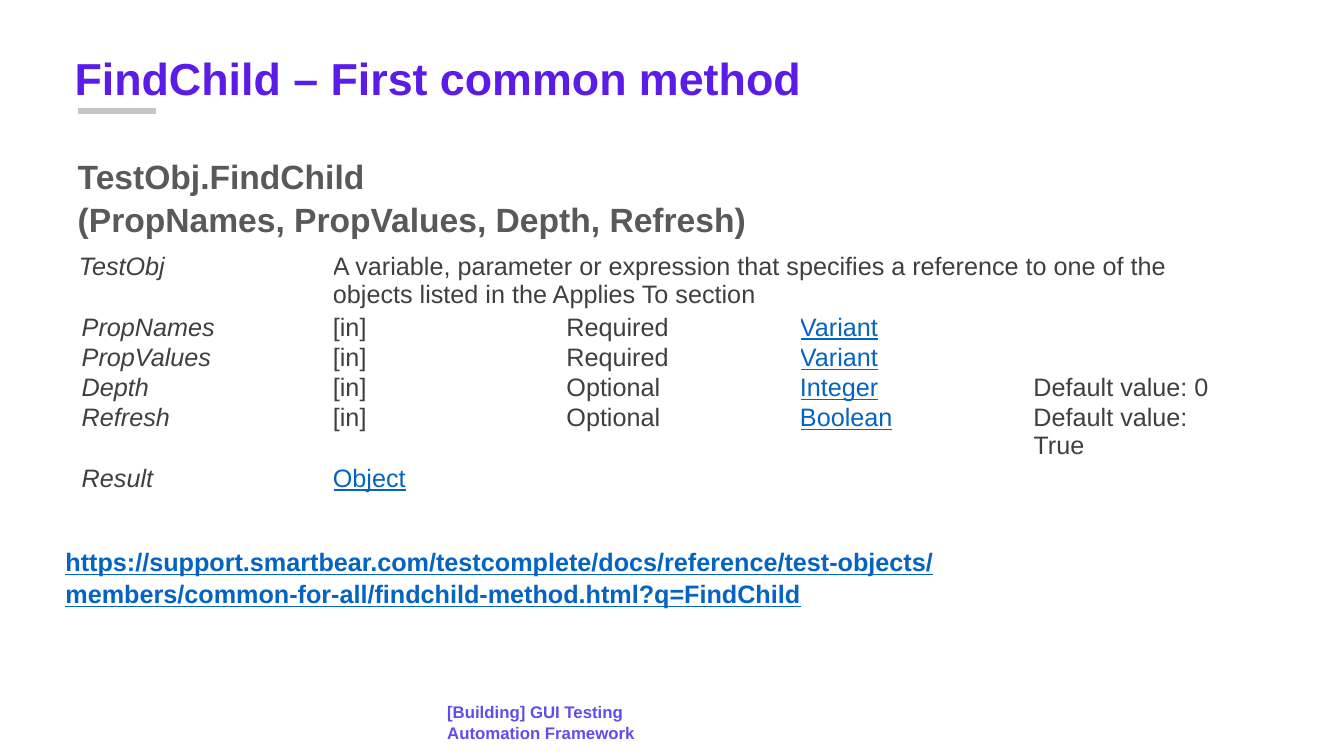
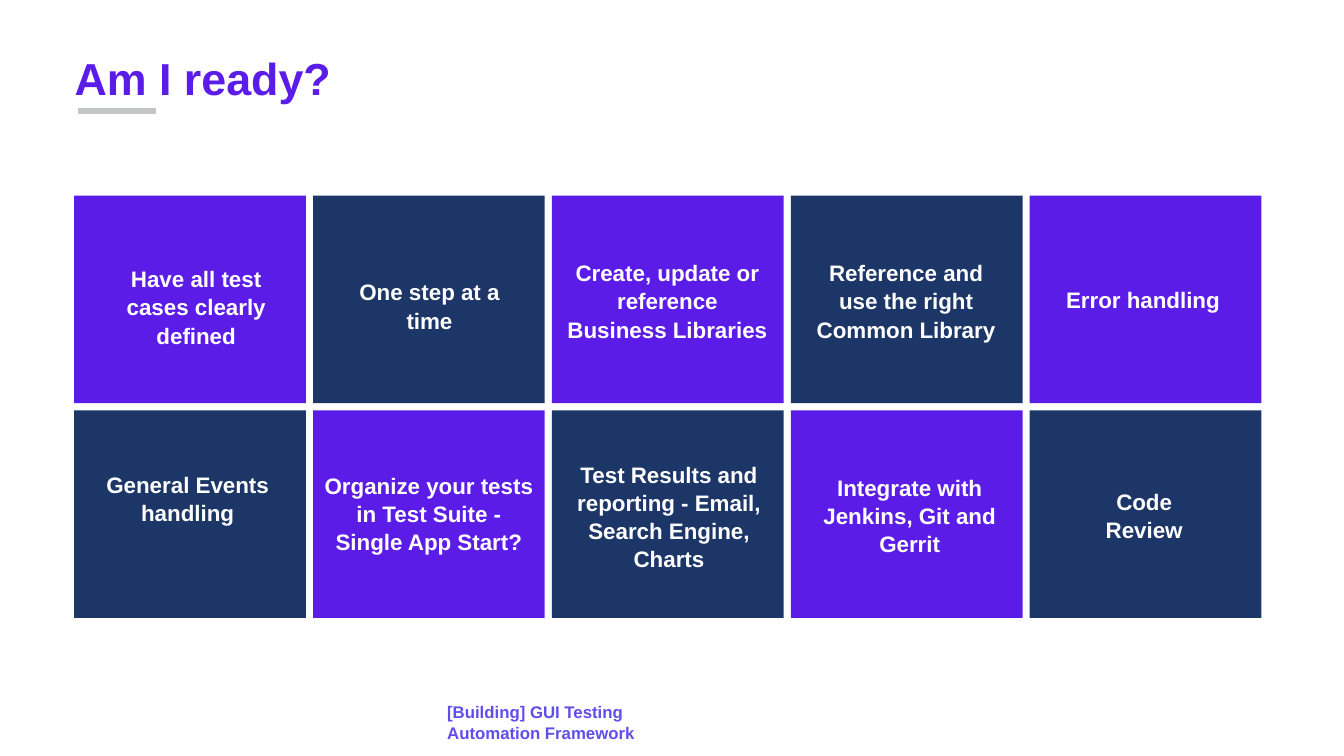
from lxml.etree import SubElement
from pptx import Presentation
from pptx.dml.color import RGBColor
from pptx.enum.shapes import MSO_CONNECTOR, MSO_SHAPE
from pptx.enum.text import MSO_ANCHOR, PP_ALIGN
from pptx.oxml.ns import qn
from pptx.util import Cm, Pt

FONT = "Arial"
PURPLE, NAVY, WHITE = "5C1CE8", "1C3668", "FFFFFF"
RULE, FOOT, HEAD = "C3C5C8", "614EEA", "595959"
BODY, LINK = "3F3F3F", "0563C1"

URL = ("https://support.smartbear.com/testcomplete/docs/reference/"
       "test-objects/members/common-for-all/findchild-method.html"
       "?q=FindChild")
ROWS = [
    ["TestObj", "A variable, parameter or expression that specifies a "
     "reference to one of the objects listed in the Applies To section"],
    ["PropNames", "[in]", "Required", "Variant"],
    ["PropValues", "[in]", "Required", "Variant"],
    ["Depth", "[in]", "Optional", "Integer", "Default value: 0"],
    ["Refresh", "[in]", "Optional", "Boolean", "Default value: True"],
    ["Result", "Object"],
]
LINKS = {"Variant", "Integer", "Boolean", "Object"}
TILES = [
    [("Have all test cases clearly defined", 0.56, 1.6, 5.03),
     ("One step at a time", 0.46, 1.93, 4.95),
     ("Create, update or reference Business Libraries", 0.08, 1.45, 5.66),
     ("Reference and use the right Common Library", 0.25, 1.45, 5.31),
     ("Error handling", 0.2, 2.13, 5.31)],
    [("General Events handling", 0.51, 1.37, 4.7),
     ("Organize your tests in Test Suite -\nSingle App Start?", 0, 1.4, 5.84),
     ("Test Results and reporting - Email, Search Engine, Charts",
      0.03, 1.12, 5.84),
     ("Integrate with Jenkins, Git and Gerrit", 0.25, 1.45, 5.49),
     ("Code Review", 1.07, 1.8, 3.63)],
]


def paint(color, tone):
    """Set a fill, line or font colour from a hex string."""
    color.rgb = RGBColor.from_string(tone)


def style(para, size, tone, bold=False, slant=False, under=False):
    """Set the font of a paragraph."""
    font = para.font
    font.name, font.size = FONT, Pt(size)
    font.bold, font.italic, font.underline = bold, slant, under
    paint(font.color, tone)


def label(slide, box, text, size, tone, align=PP_ALIGN.LEFT, under=False):
    """Add a wrapped bold text box and return its frame."""
    frame = slide.shapes.add_textbox(*map(Cm, box)).text_frame
    frame.word_wrap = True
    frame.text = text
    for para in frame.paragraphs:
        para.alignment = align
        para.line_spacing = 1.05
        style(para, size, tone, bold=True, under=under)
    return frame


def base(deck, title):
    """Add a slide with its title, rule and footer."""
    slide = deck.slides.add_slide(deck.slide_layouts[6])
    label(slide, (11.02, 17.53, 5.44, 1.27),
          "[Building] GUI Testing Automation Framework", 12, FOOT)
    label(slide, (1.63, 1.09, 20.85, 1.63), title, 32, PURPLE)
    rule = slide.shapes.add_connector(
        MSO_CONNECTOR.STRAIGHT, Cm(1.96), Cm(2.79), Cm(3.94), Cm(2.79))
    rule.line.width = Pt(4.5)
    paint(rule.line.color, RULE)
    SubElement(rule._element.spPr, qn("a:effectLst"))
    return slide


def grid(slide, left, top, width):
    """Add the table of parameters."""
    first, line = 6.76, 0.76
    table = slide.shapes.add_table(
        len(ROWS), 5, Cm(left), Cm(top), Cm(width),
        Cm(line * (len(ROWS) + 2))).table
    table.first_row = table.horz_banding = False
    for col, column in enumerate(table.columns):
        column.width = Cm(first if col == 0 else (width - first) / 4)
    for row, texts in enumerate(ROWS):
        table.rows[row].height = Cm(line * (2 if row in (0, 4) else 1))
        if len(texts) == 2:
            table.cell(row, 1).merge(table.cell(row, 4))
        for col in range(5):
            cell = table.cell(row, col)
            cell.fill.background()
            cell.margin_top = cell.margin_bottom = 0
            inset = 0.36 if row == 0 else 0.43
            cell.margin_left = Cm(0 if col else inset)
            cell.margin_right = Cm(0.64 if col else 0.3)
            text = texts[col] if col < len(texts) else ""
            cell.text = text
            para = cell.text_frame.paragraphs[0]
            para.line_spacing = 0.97
            link = text in LINKS
            style(para, 18, LINK if link else BODY,
                  slant=col == 0, under=link)


def tiles(slide, left, top):
    """Add the two rows of tiles in alternating colours."""
    wide, high, gap = 5.84, 5.23, 0.18
    for row, line in enumerate(TILES):
        for col, (text, right, down, span) in enumerate(line):
            x = left + col * (wide + gap)
            y = top + row * (high + gap)
            tile = slide.shapes.add_shape(
                MSO_SHAPE.RECTANGLE, Cm(x), Cm(y), Cm(wide), Cm(high))
            tile.shadow.inherit = False
            tile.fill.solid()
            paint(tile.fill.fore_color, NAVY if (row + col) % 2 else PURPLE)
            tile.line.fill.background()
            label(slide, (x + right, y + down, span, 2.31),
                  text, 16, WHITE, PP_ALIGN.CENTER)


def method(deck):
    """Build the slide on the FindChild method."""
    slide = base(deck, "FindChild – First common method")
    grid(slide, 1.63, 6.4, 30.3)
    frame = label(slide, (1.96, 3.94, 24.28, 2.03),
                  "TestObj.FindChild\n"
                  "(PropNames, PropValues, Depth, Refresh)", 24, HEAD)
    frame.margin_left = frame.margin_right = 0
    frame.margin_top = frame.margin_bottom = 0
    frame.vertical_anchor = MSO_ANCHOR.MIDDLE
    label(slide, (1.4, 13.61, 24.59, 1.8), URL, 18, LINK, under=True)


def ready(deck):
    """Build the slide with the checklist tiles."""
    slide = base(deck, "Am I ready?")
    tiles(slide, 1.87, 4.93)


def main():
    """Build and save the deck."""
    deck = Presentation()
    deck.slide_width, deck.slide_height = Cm(33.87), Cm(19.05)
    method(deck)
    ready(deck)
    deck.save("out.pptx")


if __name__ == "__main__":
    main()
